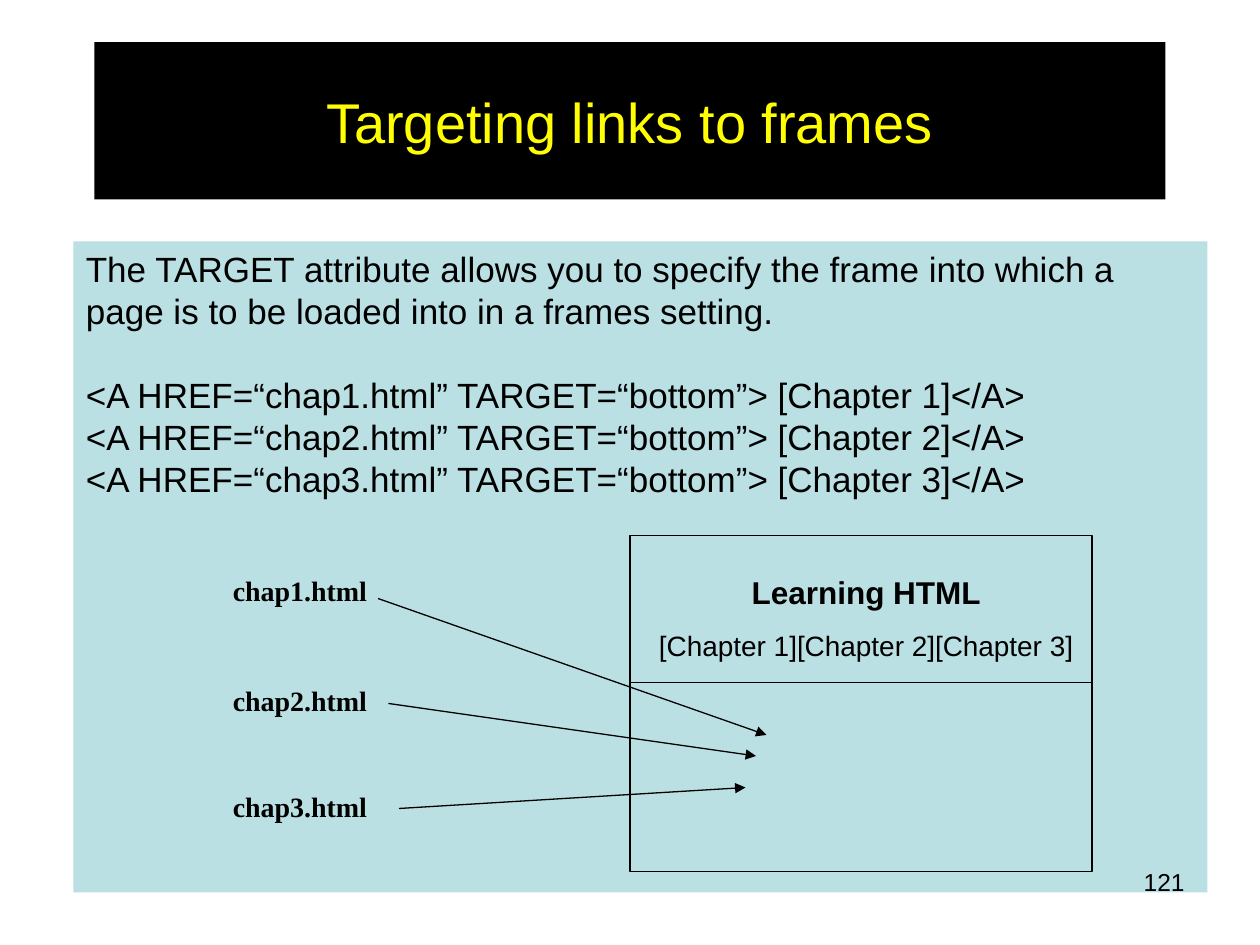
from dataclasses import dataclass
from typing import NamedTuple, Optional

from lxml.etree import SubElement
from pptx import Presentation
from pptx.dml.color import RGBColor
from pptx.enum.shapes import MSO_CONNECTOR as Connector, MSO_SHAPE as Preset
from pptx.enum.text import MSO_ANCHOR as Anchor, PP_ALIGN as Align
from pptx.oxml.ns import qn
from pptx.util import Inches, Length, Pt


@dataclass(frozen=True)
class Theme:
    ink: str = "000000"
    panel: str = "BBE0E3"
    highlight: str = "FFFF00"
    sans: str = "Arial"
    serif: str = "Times New Roman"
    title: int = 32
    body: int = 20
    body_line: int = 24
    heading: int = 18
    label: int = 16
    number: int = 14
    line: float = 0.75


class Box(NamedTuple):
    column: float
    row: float
    columns: float
    rows: float


class Point(NamedTuple):
    column: float
    row: float


class Chapter(NamedTuple):
    label_row: float
    start: Point
    end: Point


THEME = Theme()
CELLS_PER_INCH = 12

TITLE = Box(9, 4, 102, 15)
BODY = Box(7, 23, 108, 62)
FRAMESET = Box(60, 51, 44, 32)
FRAME_TEXT = Box(61, 54, 43, 9.7)
PAGE_NUMBER = Box(86, 82, 28, 6.2)
DIVIDER_ROW = 65
LABEL_COLUMN, LABEL_COLUMNS, LABEL_ROWS = 21, 17, 4.4
CHAPTERS = (
    Chapter(54, Point(36, 57), Point(73, 70)),
    Chapter(64.5, Point(37, 67), Point(72, 72)),
    Chapter(74.6, Point(38, 77), Point(71, 75)),
)


def grid(cells: float) -> Length:
    return Inches(cells / CELLS_PER_INCH)


def add_rectangle(shapes, box: Box, fill: Optional[str] = None,
                  line: Optional[str] = None):
    shape = shapes.add_shape(Preset.RECTANGLE, *map(grid, box))
    shape.shadow.inherit = False
    if fill:
        shape.fill.solid()
        shape.fill.fore_color.rgb = RGBColor.from_string(fill)
    else:
        shape.fill.background()
    if line:
        shape.line.color.rgb = RGBColor.from_string(line)
        shape.line.width = Pt(THEME.line)
    else:
        shape.line.fill.background()
    return shape


def add_text_box(shapes, box: Box):
    return shapes.add_textbox(*map(grid, box))


def add_line(shapes, start: Point, end: Point, arrow: bool = False) -> None:
    connector = shapes.add_connector(Connector.STRAIGHT, *map(grid, (*start, *end)))
    connector.line.color.rgb = RGBColor.from_string(THEME.ink)
    connector.line.width = Pt(THEME.line)
    if arrow:
        SubElement(connector.line._get_or_add_ln(), qn("a:tailEnd"), type="triangle")
    SubElement(connector._element.spPr, qn("a:effectLst"))


def write(shape, text: str, *, size: float, font: str = THEME.sans,
          color: str = THEME.ink, bold: bool = False, align=Align.LEFT,
          anchor=Anchor.TOP, before: float = 0,
          line_height: Optional[float] = None) -> None:
    frame = shape.text_frame
    frame.word_wrap = True
    frame.vertical_anchor = anchor
    paragraph = frame.add_paragraph() if frame.text else frame.paragraphs[0]
    paragraph.alignment = align
    paragraph.space_before = Pt(before)
    if line_height:
        paragraph.line_spacing = Pt(line_height)
    run = paragraph.add_run()
    run.text = text
    run.font.name = font
    run.font.size = Pt(size)
    run.font.bold = bold
    run.font.color.rgb = RGBColor.from_string(color)


def draw_body(shapes) -> None:
    body = add_rectangle(shapes, BODY, fill=THEME.panel)
    write(body, "The TARGET attribute allows you to specify the frame into which "
          "a page is to be loaded into in a frames setting.",
          size=THEME.body, line_height=THEME.body_line)
    for number in range(1, len(CHAPTERS) + 1):
        write(body, f"<A HREF=“chap{number}.html” TARGET=“bottom”> "
              f"[Chapter {number}]</A>",
              size=THEME.body, line_height=THEME.body_line,
              before=THEME.body_line if number == 1 else 0)


def draw_frameset(shapes) -> None:
    group = shapes.add_group_shape().shapes
    text = add_text_box(group, FRAME_TEXT)
    write(text, "Learning HTML", size=THEME.heading, bold=True,
          align=Align.CENTER, before=11.2)
    links = "".join(f"[Chapter {number}]" for number in range(1, len(CHAPTERS) + 1))
    write(text, links, size=THEME.label, align=Align.CENTER, before=10)
    add_rectangle(group, FRAMESET, line=THEME.ink)
    add_line(group, Point(FRAMESET.column, DIVIDER_ROW),
             Point(FRAMESET.column + FRAMESET.columns, DIVIDER_ROW))


def draw_chapters(shapes) -> None:
    for number, chapter in enumerate(CHAPTERS, start=1):
        label = add_text_box(shapes, Box(LABEL_COLUMN, chapter.label_row,
                                         LABEL_COLUMNS, LABEL_ROWS))
        write(label, f"chap{number}.html", size=THEME.label, font=THEME.serif,
              bold=True, before=10)
        add_line(shapes, chapter.start, chapter.end, arrow=True)


def main() -> None:
    presentation = Presentation()
    presentation.slide_width = Inches(10)
    presentation.slide_height = Inches(7.5)
    slide = presentation.slides.add_slide(presentation.slide_layouts[6])
    shapes = slide.shapes

    write(add_rectangle(shapes, TITLE, fill=THEME.ink), "Targeting links to frames",
          size=THEME.title, color=THEME.highlight, align=Align.CENTER,
          anchor=Anchor.MIDDLE)
    draw_body(shapes)
    draw_frameset(shapes)
    draw_chapters(shapes)
    write(add_text_box(shapes, PAGE_NUMBER), "121", size=THEME.number,
          align=Align.RIGHT)
    presentation.save("out.pptx")


if __name__ == "__main__":
    main()
